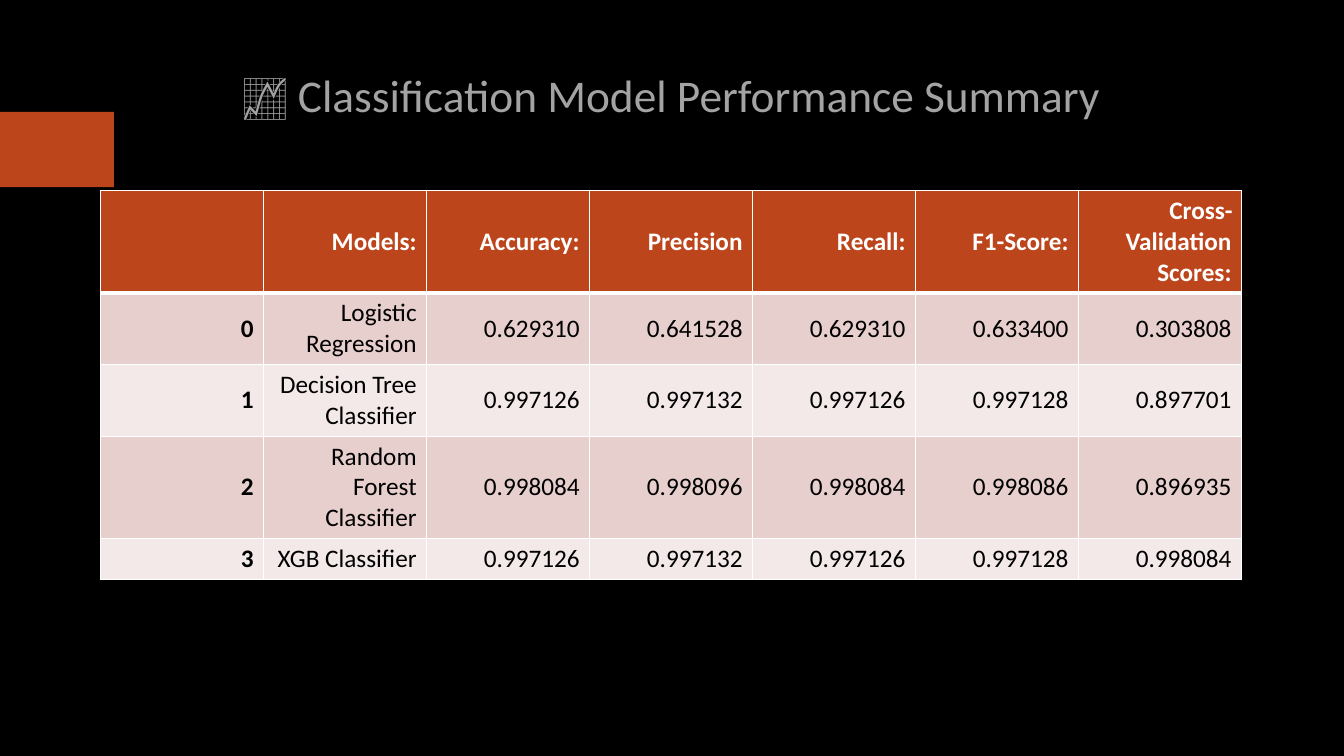
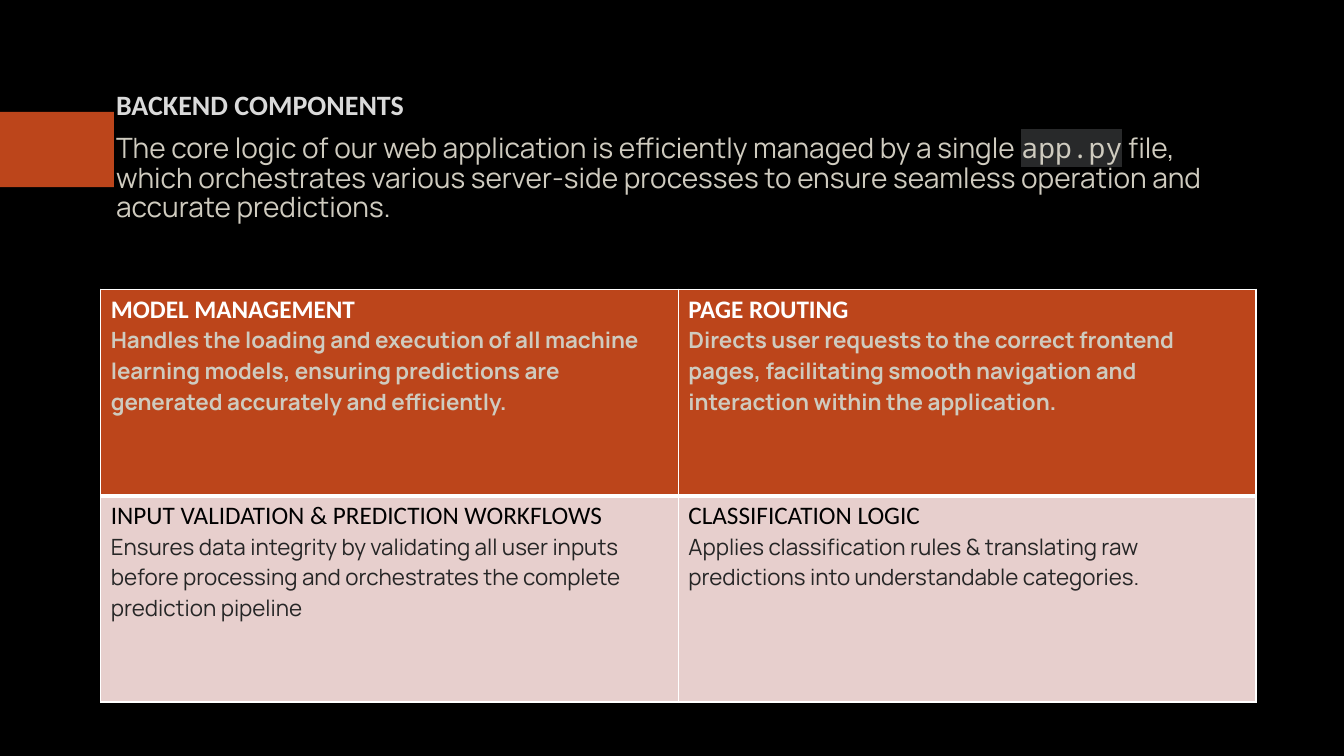
"""Build two dark slides: a model performance table and the backend components."""
from dataclasses import dataclass

from lxml.etree import SubElement
from pptx import Presentation
from pptx.dml.color import RGBColor
from pptx.enum.shapes import MSO_SHAPE
from pptx.enum.text import MSO_ANCHOR, MSO_AUTO_SIZE, PP_ALIGN
from pptx.oxml.ns import qn
from pptx.util import Cm, Pt


@dataclass(frozen=True)
class Theme:
    background: str = "000000"
    accent: str = "BC451B"
    band_dark: str = "E7CFCD"
    band_light: str = "F3E9E8"
    border: str = "FFFFFF"
    code_back: str = "28292A"
    title_grey: str = "A3A3A3"
    heading_grey: str = "DADADA"
    sand: str = "CFCBBF"
    ink: str = "000000"
    soft_ink: str = "262626"
    sans: str = "Calibri"
    prose: str = "Manrope"
    mono: str = "Noto Sans Mono"
    title_size: float = 32.4
    lead_size: int = 20
    table_size: int = 18
    detail_size: int = 16
    thin: int = 1
    thick: int = 3


theme = Theme()


def write(paragraph, text, color, **font_values):
    run = paragraph.add_run()
    run.text = text
    run.font.color.rgb = RGBColor.from_string(color)
    for attribute, value in font_values.items():
        setattr(run.font, attribute, value)
    return run


def paint(cell, fill, row):
    properties = cell._tc.get_or_add_tcPr()
    widths = {"lnL": theme.thin, "lnR": theme.thin,
              "lnT": theme.thick if row == 1 else theme.thin,
              "lnB": theme.thick if row == 0 else theme.thin}
    for side, width in widths.items():
        edge = SubElement(properties, qn(f"a:{side}"), w=str(Pt(width)))
        edge_fill = SubElement(edge, qn("a:solidFill"))
        SubElement(edge_fill, qn("a:srgbClr"), val=theme.border)
    cell.fill.solid()
    cell.fill.fore_color.rgb = RGBColor.from_string(fill)


presentation = Presentation()
presentation.slide_width, presentation.slide_height = Cm(33.87), Cm(19.05)
master = presentation.slide_master
master.background.fill.solid()
master.background.fill.fore_color.rgb = RGBColor.from_string(theme.background)

performance = presentation.slides.add_slide(presentation.slide_layouts[5])
backend = presentation.slides.add_slide(presentation.slide_layouts[1])

accent_bar = performance.shapes.add_shape(
    MSO_SHAPE.RECTANGLE, Cm(0), Cm(2.82), Cm(2.87), Cm(1.9))
accent_bar.shadow.inherit = False
accent_bar.fill.solid()
accent_bar.fill.fore_color.rgb = RGBColor.from_string(theme.accent)
accent_bar.line.fill.background()
master.shapes._spTree.insert(2, accent_bar._element)

headline = performance.shapes.title
headline_place = {"left": Cm(2.54), "top": Cm(1.7), "width": Cm(28.75), "height": Cm(2.69)}
for attribute, value in headline_place.items():
    setattr(headline, attribute, value)
headline_frame = {"margin_top": Cm(0), "vertical_anchor": MSO_ANCHOR.TOP,
                  "word_wrap": True, "auto_size": MSO_AUTO_SIZE.NONE}
for attribute, value in headline_frame.items():
    setattr(headline.text_frame, attribute, value)
headline_line = headline.text_frame.paragraphs[0]
headline_line.alignment = PP_ALIGN.CENTER
write(headline_line, "📈 Classification Model Performance Summary",
      theme.title_grey, name=theme.sans, size=Pt(theme.title_size))

scores = [
    ["", "Models:", "Accuracy:", "Precision", "Recall:", "F1-Score:",
     "Cross-Validation Scores:"],
    ["0", "Logistic Regression", "0.629310", "0.641528", "0.629310", "0.633400", "0.303808"],
    ["1", "Decision Tree Classifier", "0.997126", "0.997132", "0.997126", "0.997128", "0.897701"],
    ["2", "Random Forest Classifier", "0.998084", "0.998096", "0.998084", "0.998086", "0.896935"],
    ["3", "XGB Classifier", "0.997126", "0.997132", "0.997126", "0.997128", "0.998084"],
]
score_grid = performance.shapes.add_table(
    len(scores), len(scores[0]), Cm(2.54), Cm(4.8), Cm(28.75), Cm(5.15)).table
for row, values in enumerate(scores):
    row_fill = theme.accent if row == 0 else (theme.band_light, theme.band_dark)[row % 2]
    for column, value in enumerate(values):
        cell = score_grid.cell(row, column)
        paint(cell, row_fill, row)
        cell.vertical_anchor = MSO_ANCHOR.MIDDLE
        line = cell.text_frame.paragraphs[0]
        line.alignment = PP_ALIGN.RIGHT
        if value:
            write(line, value, theme.border if row == 0 else theme.ink, name=theme.sans,
                  size=Pt(theme.table_size), bold=row == 0 or column == 0)

backend.shapes.title._element.getparent().remove(backend.shapes.title._element)
intro = backend.placeholders[1]
intro_place = {"left": Cm(2.57), "top": Cm(2.18), "width": Cm(28.75), "height": Cm(11.28)}
for attribute, value in intro_place.items():
    setattr(intro, attribute, value)
intro.text_frame.word_wrap = True
intro.text_frame.auto_size = MSO_AUTO_SIZE.NONE

intro_heading = intro.text_frame.paragraphs[0]
intro_lead = intro.text_frame.add_paragraph()
intro_spacing = {"space_before": Pt(4), "space_after": Pt(6), "line_spacing": 0.88}
for paragraph in (intro_heading, intro_lead):
    for attribute, value in intro_spacing.items():
        setattr(paragraph, attribute, value)
    indents = paragraph._p.get_or_add_pPr()
    indents.set("marL", str(Cm(0.1)))
    indents.set("indent", "0")
    SubElement(indents, qn("a:buNone"))

write(intro_heading, "BACKEND COMPONENTS", theme.heading_grey,
      name=theme.sans, size=Pt(theme.lead_size), bold=True)
lead_parts = [
    ("The core logic of our web application is efficiently managed by a single ", theme.prose),
    ("app.py", theme.mono),
    (" file, which orchestrates various server-side processes to ensure seamless "
     "operation and accurate predictions.", theme.prose),
]
for text, font_name in lead_parts:
    part = write(intro_lead, text, theme.sand, name=font_name, size=Pt(theme.lead_size))
    if font_name == theme.mono:
        part_format = part._r.get_or_add_rPr()
        highlight = SubElement(part_format, qn("a:highlight"))
        SubElement(highlight, qn("a:srgbClr"), val=theme.code_back)
        part_format.find(qn("a:latin")).addprevious(highlight)

components = [
    [("MODEL MANAGEMENT",
      "Handles the loading and execution of all machine learning models, ensuring "
      "predictions are generated accurately and efficiently."),
     ("PAGE ROUTING",
      "Directs user requests to the correct frontend pages, facilitating smooth "
      "navigation and interaction within the application.")],
    [("INPUT VALIDATION & PREDICTION WORKFLOWS",
      "Ensures data integrity by validating all user inputs before processing and "
      "orchestrates the complete prediction pipeline"),
     ("CLASSIFICATION LOGIC",
      "Applies classification rules & translating raw predictions into understandable "
      "categories.")],
]
component_looks = [(theme.accent, theme.border, theme.sand, True),
                   (theme.band_dark, theme.ink, theme.soft_ink, False)]
component_grid = backend.shapes.add_table(
    2, 2, Cm(2.54), Cm(7.29), Cm(29.11), Cm(10.4)).table
for row, (entries, look) in enumerate(zip(components, component_looks)):
    fill, name_color, detail_color, bold = look
    for column, (component, detail) in enumerate(entries):
        cell = component_grid.cell(row, column)
        paint(cell, fill, row)
        write(cell.text_frame.paragraphs[0], component, name_color,
              name=theme.sans, size=Pt(theme.table_size), bold=bold)
        write(cell.text_frame.add_paragraph(), detail, detail_color,
              name=theme.prose, size=Pt(theme.detail_size), bold=bold)

presentation.save("out.pptx")
